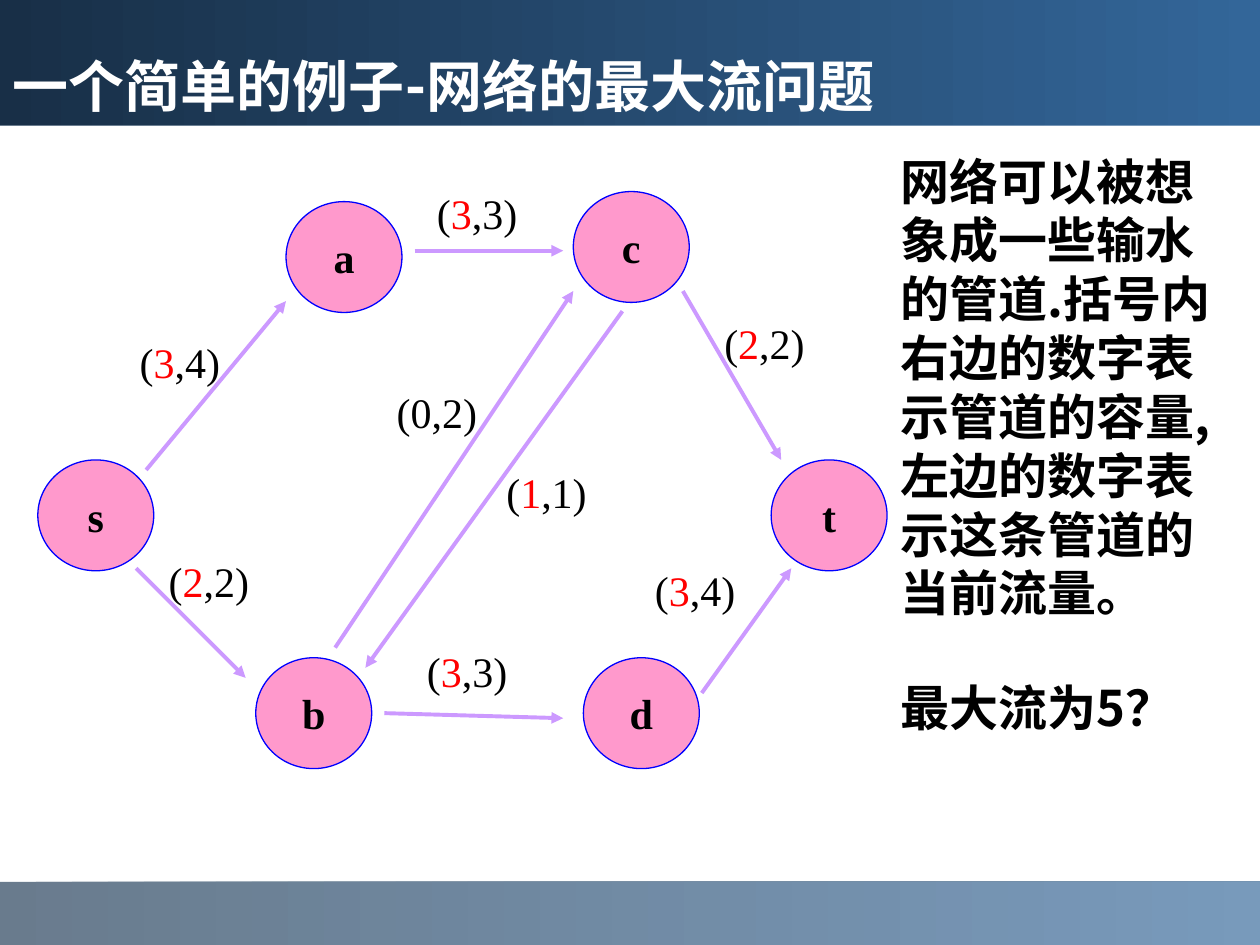
import pptx
import pptx.util
import pptx.dml.color
import pptx.enum.shapes
import pptx.enum.text
import pptx.oxml
import pptx.oxml.ns

RGB = pptx.dml.color.RGBColor
SHAPE = pptx.enum.shapes.MSO_SHAPE
ANCHOR = pptx.enum.text.MSO_ANCHOR
ALIGN = pptx.enum.text.PP_ALIGN
Pt = pptx.util.Pt

NAVY = RGB(0x18, 0x2F, 0x47)
DEEP = RGB(0x1C, 0x38, 0x53)
STEEL = RGB(0x33, 0x66, 0x99)
PINK = RGB(0xFF, 0x99, 0xCC)
BLUE = RGB(0, 0, 0xFF)
LILAC = RGB(0xCC, 0x99, 0xFF)
RED = RGB(0xFF, 0, 0)
BLACK = RGB(0, 0, 0)
WHITE = RGB(0xFF, 0xFF, 0xFF)

SANS = "Noto Sans CJK SC"
HEAD = "Roboto"
SERIF = "Times New Roman"

COLS, ROWS = 100, 75
NODE = (9.2, 8.8)
LABEL = (8.4, 5.1)

NODES = {
    "a": (22.7, 16), "t": (61.2, 36.5), "s": (3, 36.5),
    "b": (20.3, 52.2), "c": (45.5, 15.2), "d": (46.3, 52.2),
}
PIPES = [
    ((11.6, 37.3), (22.7, 23.9), (10.1, 26.2), "3", 4),
    ((10.8, 45.1), (19.5, 53.8), (12.4, 43.6), "2", 2),
    ((32.9, 19.9), (44.7, 19.9), (33.7, 14.4), "3", 3),
    ((30.5, 56.6), (44.7, 57), (32.9, 50.7), "3", 3),
    ((54.2, 23.1), (62, 36.5), (56.5, 24.7), "2", 2),
    ((55.7, 55), (62.8, 45.1), (51, 44.3), "3", 4),
    ((49.4, 24.7), (29, 53), (39.2, 36.5), "1", 1),
    ((26.6, 51.4), (45.5, 23.1), (30.5, 30.2), "0", 2),
]
NOTES = [
    "网络可以被想象成一些输水的管道.括号内右边的数字表示管道的容量,左边的数字表示这条管道的当前流量。",
    "最大流为5？",
]


class Deck:
    def __init__(self):
        self.prs = pptx.Presentation()
        self.prs.slide_width = pptx.util.Inches(10)
        self.prs.slide_height = pptx.util.Inches(7.5)
        self.slide = self.prs.slides.add_slide(self.prs.slide_layouts[6])
        self.shapes = self.slide.shapes

    def place(self, *grid):
        wide = self.prs.slide_width / COLS
        high = self.prs.slide_height / ROWS
        return [round(n * (high if i % 2 else wide)) for i, n in enumerate(grid)]

    def style(self, para, size, face, color, bold=False):
        font = para.font
        font.size, font.name, font.bold = Pt(size), face, bold
        font.color.rgb = color

    def band(self, top, high, start, alpha=100):
        box = self.shapes.add_shape(SHAPE.RECTANGLE, *self.place(0, top, COLS, high))
        box.shadow.inherit = False
        box.line.fill.background()
        box.fill.gradient()
        box.fill.gradient_angle = 0
        for stop, place, color in zip(box.fill.gradient_stops, (0, 1), (start, STEEL)):
            stop.position = place
            stop.color.rgb = color
        if alpha < 100:
            for tint in box.fill._xPr.iter(pptx.oxml.ns.qn("a:srgbClr")):
                tint.append(pptx.oxml.parse_xml(
                    f'<a:alpha {pptx.oxml.ns.nsdecls("a")} val="{alpha * 1000}"/>'))
        return box

    def title(self, text):
        frame = self.band(0, 9.9, NAVY).text_frame
        frame.vertical_anchor = ANCHOR.BOTTOM
        para = frame.paragraphs[0]
        para.text = text
        para.alignment = ALIGN.LEFT
        self.style(para, 32, HEAD, WHITE, True)

    def notes(self, lines, grid, gap):
        frame = self.shapes.add_textbox(*self.place(*grid)).text_frame
        frame.word_wrap = True
        for i, line in enumerate(lines):
            para = frame.add_paragraph() if i else frame.paragraphs[0]
            para.text = line
            para.space_before = Pt(gap if i else 0)
            self.style(para, 28, SANS, BLACK, True)

    def node(self, name, spot):
        disc = self.shapes.add_shape(SHAPE.OVAL, *self.place(*spot, *NODE))
        disc.shadow.inherit = False
        disc.fill.solid()
        disc.fill.fore_color.rgb = PINK
        disc.line.color.rgb = BLUE
        disc.line.width = Pt(0.75)
        frame = disc.text_frame
        frame.word_wrap = False
        frame.vertical_anchor = ANCHOR.MIDDLE
        para = frame.paragraphs[0]
        para.text = name
        para.alignment = ALIGN.CENTER
        self.style(para, 24, SERIF, BLACK, True)

    def arrow(self, start, end):
        link = self.shapes.add_connector(
            pptx.enum.shapes.MSO_CONNECTOR.STRAIGHT, *self.place(*start, *end))
        link.line.color.rgb = LILAC
        link.line.width = Pt(2.25)
        space = pptx.oxml.ns.nsdecls("a")
        link.line._get_or_add_ln().append(
            pptx.oxml.parse_xml(f'<a:tailEnd {space} type="triangle"/>'))
        link._element.spPr.append(pptx.oxml.parse_xml(f"<a:effectLst {space}/>"))

    def label(self, spot, flow, limit):
        frame = self.shapes.add_textbox(*self.place(*spot, *LABEL)).text_frame
        frame.word_wrap = False
        para = frame.paragraphs[0]
        self.style(para, 24, SERIF, BLACK)
        for text in ("(", flow, f",{limit})"):
            run = para.add_run()
            run.text = text
            if text == flow and flow != "0":
                run.font.color.rgb = RED


def main():
    deck = Deck()
    deck.band(70, 5, DEEP, 66)
    deck.band(0, 10, DEEP, 66)
    deck.notes(NOTES, (70.5, 11.5, 27.6, 52.4), 32)
    deck.title("一个简单的例子-网络的最大流问题")
    for name, spot in NODES.items():
        deck.node(name, spot)
    for start, end, spot, flow, limit in PIPES:
        deck.arrow(start, end)
        deck.label(spot, flow, limit)
    deck.prs.save("out.pptx")


if __name__ == "__main__":
    main()
